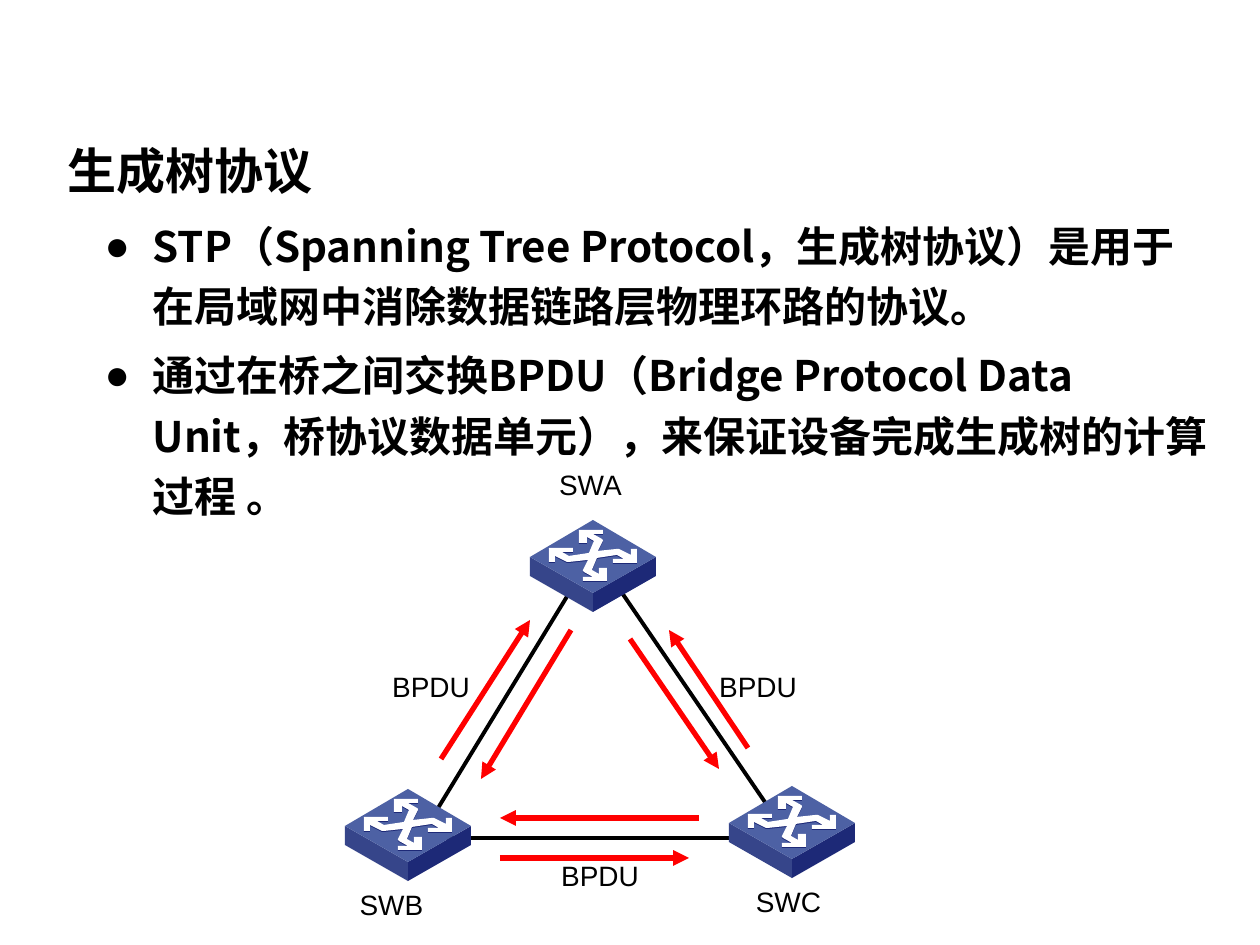
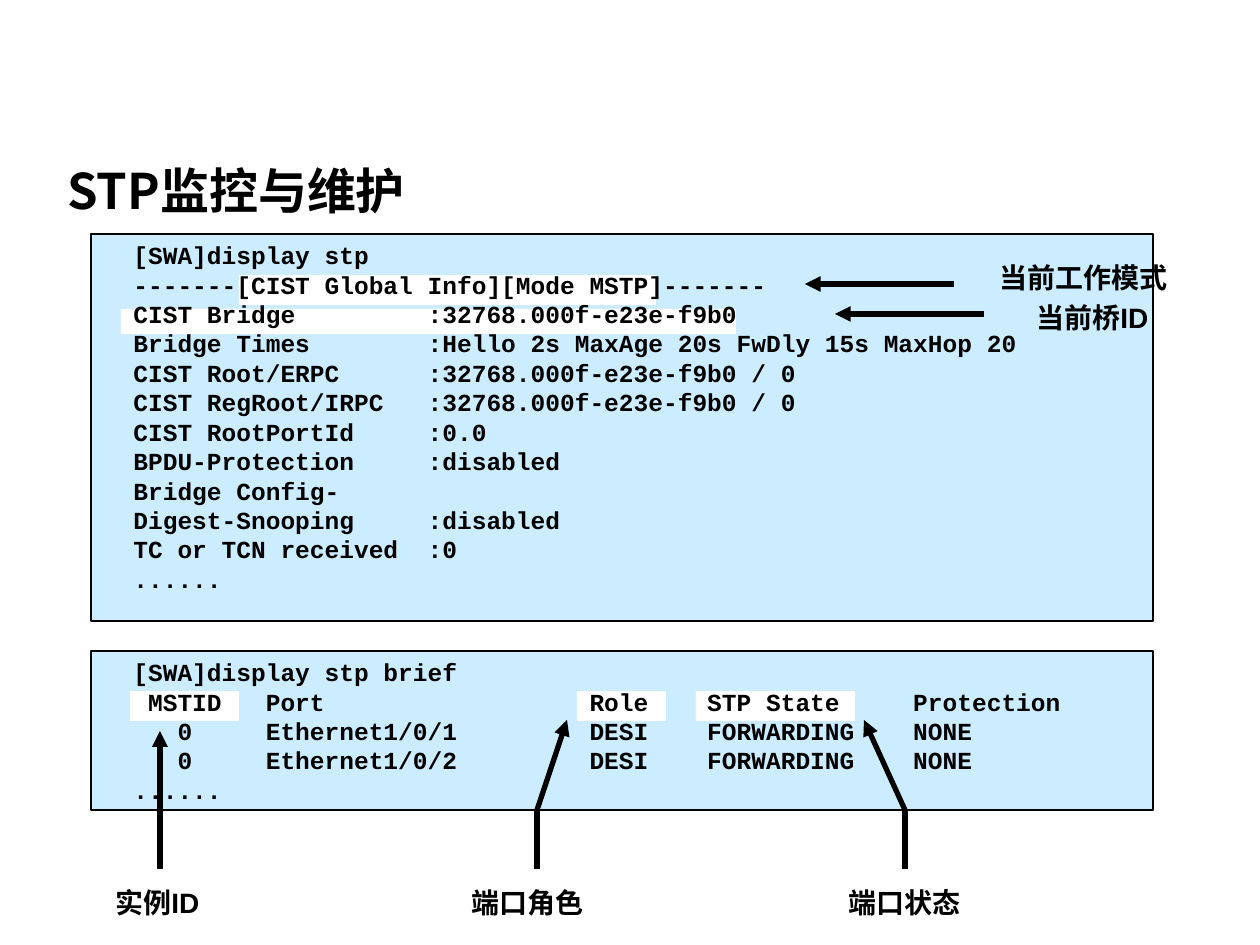
from lxml.etree import SubElement
from pptx import Presentation
from pptx.dml.color import RGBColor
from pptx.enum.shapes import MSO_CONNECTOR, MSO_SHAPE
from pptx.enum.text import MSO_ANCHOR, MSO_AUTO_SIZE, PP_ALIGN
from pptx.oxml.ns import qn
from pptx.util import Inches, Pt

SCALE = Inches(1) / 126  # EMU in one px

BLACK = RGBColor(0x00, 0x00, 0x00)
WHITE = RGBColor(0xFF, 0xFF, 0xFF)
RED = RGBColor(0xFF, 0x00, 0x00)
PANEL_BLUE = RGBColor(0xCC, 0xEC, 0xFF)
SWITCH_TOP = RGBColor(0x4D, 0x61, 0xA4)
SWITCH_LEFT = RGBColor(0x36, 0x45, 0x8A)
SWITCH_RIGHT = RGBColor(0x1D, 0x29, 0x77)

TITLE_FONT = "Noto Sans CJK JP"
BODY_FONT = "Noto Sans CJK SC"
LABEL_FONT = "Arial"
CODE_FONT = "Courier New"

# Half of the crossed arrows on a switch; the other half is its point reflection
HALF_GLYPH = [
    (107, 29), (101, 29), (101, 35), (91, 30), (89, 29), (87, 29), (68, 31), (73, 21),
    (73, 20), (72, 19), (63, 14), (73, 14), (73, 10), (49, 10), (49, 23), (57, 23),
    (57, 17), (64, 21), (59, 33), (39, 36), (32, 32), (43, 32), (43, 28), (19, 28),
]
GLYPH = HALF_GLYPH + [(126 - x, 71 - y) for x, y in HALF_GLYPH]

STP_POINTS = [
    "STP（Spanning Tree Protocol，生成树协议）是用于在局域网中消除数据链路层物理环路的协议。",
    "通过在桥之间交换BPDU（Bridge Protocol Data Unit，桥协议数据单元），来保证设备完成生成树的计算过程 。",
]
DISPLAY_STP = """[SWA]display stp
-------[CIST Global Info][Mode MSTP]-------
CIST Bridge         :32768.000f-e23e-f9b0
Bridge Times        :Hello 2s MaxAge 20s FwDly 15s MaxHop 20
CIST Root/ERPC      :32768.000f-e23e-f9b0 / 0
CIST RegRoot/IRPC   :32768.000f-e23e-f9b0 / 0
CIST RootPortId     :0.0
BPDU-Protection     :disabled
Bridge Config-
Digest-Snooping     :disabled
TC or TCN received  :0
......"""
DISPLAY_STP_BRIEF = """[SWA]display stp brief
 MSTID   Port                  Role    STP State     Protection
   0     Ethernet1/0/1         DESI    FORWARDING    NONE
   0     Ethernet1/0/2         DESI    FORWARDING    NONE
......"""


def px(*lengths):
    return [round(length * SCALE) for length in lengths]


def format_runs(frame, font, size, bold=True, east_asian=BODY_FONT):
    for para in frame.paragraphs:
        for span in para.runs:
            span.font.name = font
            span.font.size = Pt(size)
            span.font.bold = bold
            span.font.color.rgb = BLACK
            SubElement(span.font._element, qn("a:ea")).set("typeface", east_asian)


def place(shape, box):
    shape.left, shape.top, shape.width, shape.height = px(*box)


def add_text(page, text, box, font=LABEL_FONT, size=16, bold=True, align=PP_ALIGN.CENTER):
    frame = page.shapes.add_textbox(*px(*box)).text_frame
    frame.word_wrap = True
    frame.text = text
    for para in frame.paragraphs:
        para.alignment = align
    format_runs(frame, font, size, bold)


def add_line(page, start, end, color=BLACK, width=3, arrow=True):
    line = page.shapes.add_connector(MSO_CONNECTOR.STRAIGHT, *px(*start, *end))
    line.line.color.rgb = color
    line.line.width = Pt(width)
    if arrow:
        SubElement(line.line._get_or_add_ln(), qn("a:tailEnd")).set("type", "triangle")
    SubElement(line._element.spPr, qn("a:effectLst"))


def add_rectangle(page, box, color, outlined=False):
    rectangle = page.shapes.add_shape(MSO_SHAPE.RECTANGLE, *px(*box))
    rectangle.shadow.inherit = False
    rectangle.fill.solid()
    rectangle.fill.fore_color.rgb = color
    if outlined:
        rectangle.line.color.rgb = BLACK
        rectangle.line.width = Pt(0.75)
    else:
        rectangle.line.fill.background()


def add_title(page, text, top):
    title = page.shapes.title
    place(title, (55, top, 1085, 89))
    frame = title.text_frame
    frame.text = text
    frame.auto_size = MSO_AUTO_SIZE.NONE
    frame.vertical_anchor = MSO_ANCHOR.MIDDLE
    frame.paragraphs[0].alignment = PP_ALIGN.LEFT
    format_runs(frame, TITLE_FONT, 28, east_asian=TITLE_FONT)


def fill_bullets(body, points, box):
    place(body, box)
    frame = body.text_frame
    frame.text = "\n".join(points)
    frame.auto_size = MSO_AUTO_SIZE.NONE
    indent = px(48)[0]
    for index, para in enumerate(frame.paragraphs):
        para.line_spacing = 1.2
        para.space_before = Pt(4.8 if index else 0)
        properties = para._p.get_or_add_pPr()
        properties.set("marL", str(indent))
        properties.set("indent", str(-indent))
        SubElement(properties, qn("a:buChar")).set("char", "●")
    format_runs(frame, BODY_FONT, 24)


def draw_switch(page, left, top):
    """Isometric switch, 126 px wide and 92 px high."""
    group = page.shapes.add_group_shape()
    shadow = [(x, y + 1) for x, y in GLYPH]
    faces = [
        (SWITCH_RIGHT, [(126, 37), (126, 56), (63, 92), (63, 73)]),
        (SWITCH_LEFT, [(63, 73), (63, 92), (0, 56), (0, 37)]),
        (SWITCH_TOP, [(126, 37), (63, 73), (0, 37), (63, 0)]),
        (SWITCH_RIGHT, shadow),
        (WHITE, GLYPH),
    ]
    for color, outline in faces:
        points = [(left + x, top + y) for x, y in outline]
        builder = group.shapes.build_freeform(*points[0], scale=SCALE)
        builder.add_line_segments(points[1:], close=True)
        face = builder.convert_to_shape()
        face.shadow.inherit = False
        face.fill.solid()
        face.fill.fore_color.rgb = color
        face.line.fill.background()


def draw_topology(page, left, top):
    """Triangle of three switches exchanging BPDUs."""
    def at(x, y):
        return left + x, top + y

    # Links behind the switches
    for start, end in [((132, 358), (271, 130)), ((141, 378), (450, 378)),
                       ((320, 130), (469, 348))]:
        add_line(page, at(*start), at(*end), width=2.25, arrow=False)

    # Switches and their names
    for name, switch, label in [("SWB", (45, 329), (2, 421)), ("SWC", (429, 326), (399, 418)),
                                ("SWA", (230, 60), (201, 1))]:
        draw_switch(page, *at(*switch))
        add_text(page, name, (*at(*label), 179, 47), bold=False)

    # BPDU flows in both directions along each link
    for label in [(72, 203), (241, 392), (399, 203)]:
        add_text(page, "BPDU", (*at(*label), 118, 47), bold=False)
    for start, end in [((200, 398), (389, 398)), ((399, 358), (200, 358)),
                       ((141, 299), (230, 160)), ((271, 170), (181, 319)),
                       ((330, 179), (419, 309)), ((448, 288), (369, 170))]:
        add_line(page, at(*start), at(*end), RED)


def draw_listing(page, box, code, highlights):
    """Command output on a blue panel; highlights are relative to the panel."""
    left, top, width, height = box
    add_rectangle(page, box, PANEL_BLUE, outlined=True)
    for x, y, w, h in highlights:
        add_rectangle(page, (left + x, top + y, w, h), WHITE)
    add_text(page, code, (left + 30, top, width, height), CODE_FONT, 14, align=PP_ALIGN.LEFT)


def draw_callout(page, text, left, top, *route):
    """Label of 199 by 47 px and a route of lines ending in an arrowhead."""
    add_text(page, text, (left, top, 199, 47))
    for start, end in zip(route, route[1:]):
        add_line(page, start, end, arrow=end == route[-1])


def build_protocol_slide(deck):
    page = deck.slides.add_slide(deck.slide_layouts[1])
    add_title(page, "生成树协议", 125)
    fill_bullets(page.placeholders[1], STP_POINTS, (92, 204, 1133, 260))
    draw_topology(page, 300, 460)


def build_monitoring_slide(deck):
    page = deck.slides.add_slide(deck.slide_layouts[5])
    add_title(page, "STP监控与维护", 145)
    draw_listing(page, (91, 234, 1062, 387), DISPLAY_STP,
                 [(148, 41, 417, 30), (30, 75, 615, 25)])
    draw_listing(page, (91, 651, 1062, 159), DISPLAY_STP_BRIEF,
                 [(39, 40, 109, 30), (486, 40, 89, 30), (605, 40, 159, 30)])

    # Explanations of the highlighted fields
    draw_callout(page, "当前工作模式", 984, 254, (954, 284), (805, 284))
    draw_callout(page, "当前桥ID", 993, 294, (984, 314), (835, 314))
    draw_callout(page, "实例ID", 58, 879, (160, 869), (160, 731))
    draw_callout(page, "端口角色", 428, 879, (537, 869), (537, 810), (567, 720))
    draw_callout(page, "端口状态", 805, 879, (905, 869), (905, 810), (864, 720))


def main():
    deck = Presentation()
    deck.slide_width, deck.slide_height = px(1260, 945)
    build_protocol_slide(deck)
    build_monitoring_slide(deck)
    deck.save("out.pptx")


if __name__ == "__main__":
    main()
